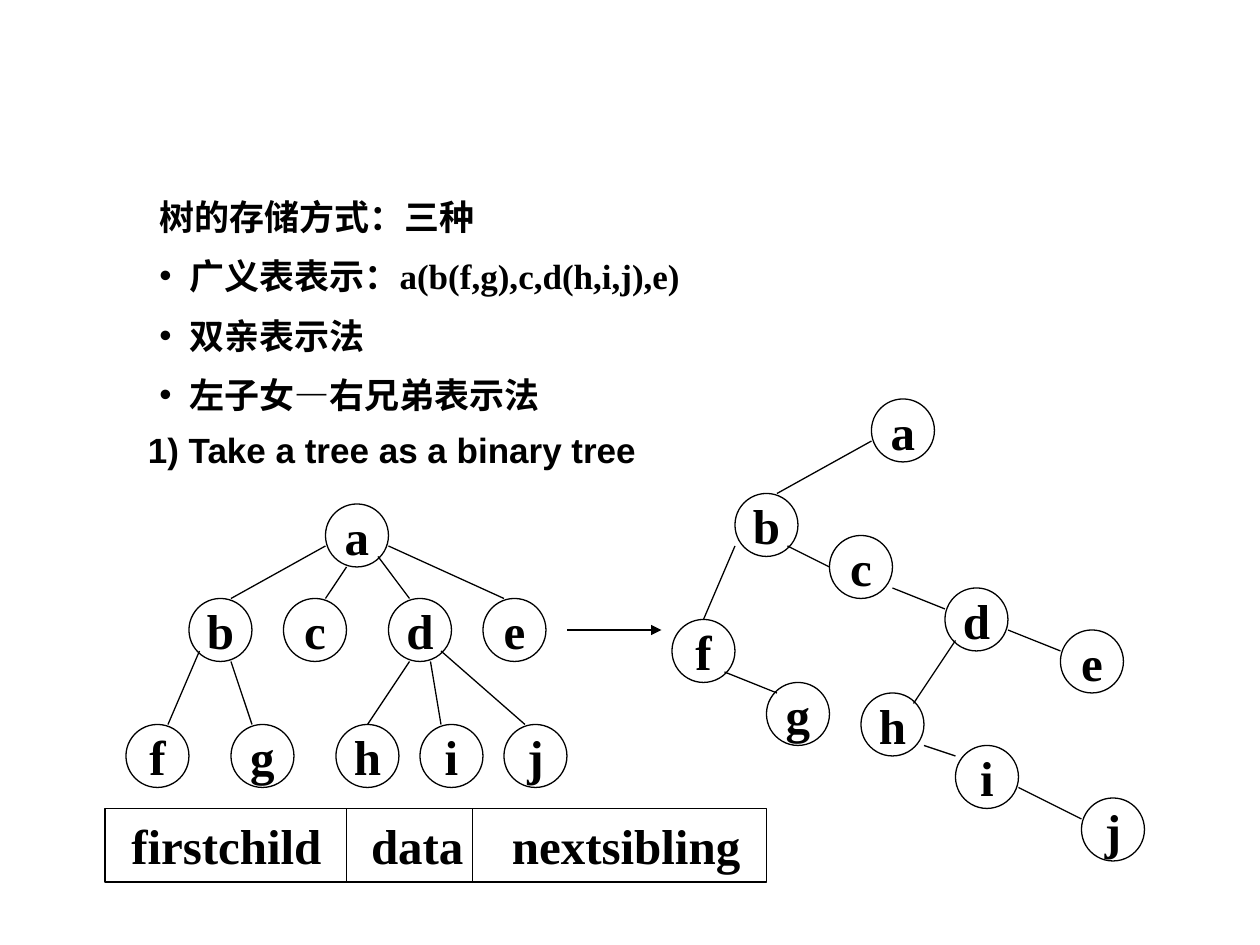
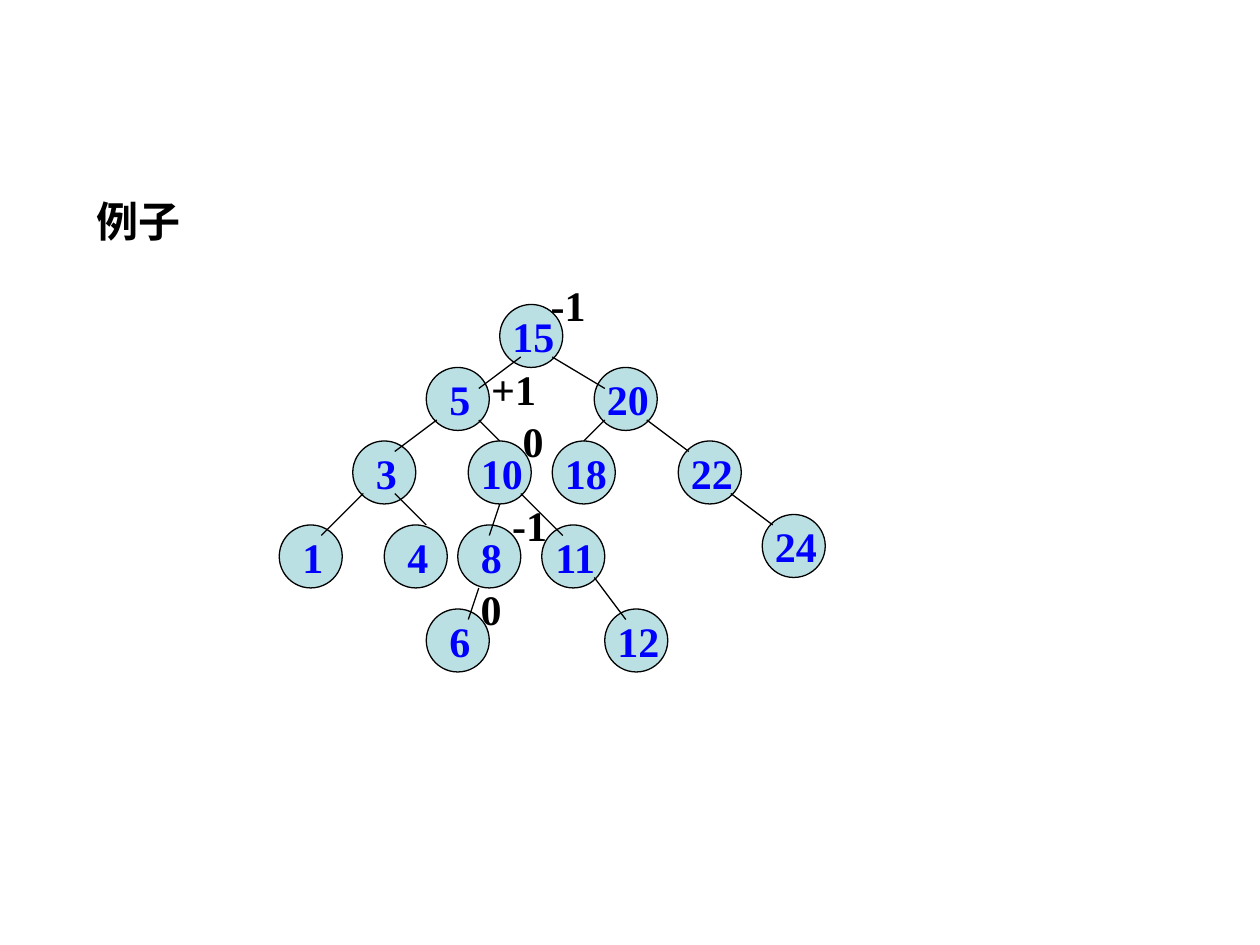
from dataclasses import dataclass

from pptx import Presentation
from pptx.dml.color import RGBColor
from pptx.enum.shapes import MSO_CONNECTOR as Connector
from pptx.enum.shapes import MSO_SHAPE as Preset
from pptx.enum.text import MSO_ANCHOR as Anchor
from pptx.enum.text import PP_ALIGN as Align
from pptx.oxml.ns import qn
from pptx.util import Pt
from lxml.etree import SubElement


@dataclass(frozen=True)
class Theme:
    ink: RGBColor = RGBColor(0, 0, 0)
    key: RGBColor = RGBColor(0, 0, 0xFF)
    node_fill: RGBColor = RGBColor(0xBB, 0xE0, 0xE3)
    serif: str = "Times New Roman"
    sans: str = "Arial"
    body_size: int = 20
    key_size: int = 24
    node_size: int = 28
    line_width: float = 0.75
    node_diameter: int = 36


THEME = Theme()
BLANK_LAYOUT = 6

# Nodes are (label, left, top); edges are (x1, y1, x2, y2), all in points.
GENERAL_TREE_NODES = [
    ("a", 186, 288),
    ("b", 108, 342), ("c", 162, 342), ("d", 222, 342), ("e", 276, 342),
    ("f", 72, 414), ("g", 132, 414), ("h", 192, 414), ("i", 240, 414), ("j", 288, 414),
]
GENERAL_TREE_EDGES = [
    (186, 312, 132, 342), (198, 324, 186, 342), (216, 318, 234, 342),
    (222, 312, 288, 342), (114, 372, 96, 414), (132, 378, 144, 414),
    (234, 378, 210, 414), (246, 378, 252, 414), (252, 372, 300, 414),
]
BINARY_TREE_NODES = [
    ("a", 498, 228), ("b", 420, 282), ("c", 474, 306), ("d", 540, 336), ("e", 606, 360),
    ("f", 384, 354), ("g", 438, 390), ("h", 492, 396), ("i", 546, 426), ("j", 618, 456),
]
BINARY_TREE_EDGES = [
    (498, 252, 444, 282), (420, 312, 402, 354), (546, 366, 522, 402),
    (510, 336, 540, 348), (582, 450, 618, 468), (576, 360, 606, 372),
    (450, 312, 474, 324), (414, 384, 444, 396), (528, 426, 546, 432),
]
SEARCH_TREE_LEFT = 3.6
SEARCH_TREE_NODES = [
    ("15", 282, 174), ("5", 240, 210), ("20", 336, 210),
    ("3", 198, 252), ("10", 264, 252), ("18", 312, 252), ("22", 384, 252),
    ("1", 156, 300), ("4", 216, 300), ("8", 258, 300), ("11", 306, 300), ("24", 432, 294),
    ("6", 240, 348), ("12", 342, 348),
]
SEARCH_TREE_EDGES = [
    (312, 204, 342, 222), (366, 240, 390, 258), (414, 282, 438, 300),
    (294, 204, 270, 222), (246, 240, 222, 258), (204, 282, 180, 306),
    (270, 240, 282, 252), (342, 240, 330, 252), (222, 282, 240, 300),
    (282, 288, 276, 306), (294, 282, 318, 306), (336, 330, 354, 354),
    (270, 336, 264, 354),
]
# Balance factors are (label, left, top, width).
BALANCE_FACTORS = [
    ("-1", 304, 156, 35), ("+1", 270, 204, 40), ("0", 288, 234, 27),
    ("-1", 282, 282, 35), ("0", 264, 330, 27),
]


def add_run(paragraph, text, size, font_name=THEME.serif, color=THEME.ink):
    run = paragraph.add_run()
    run.text = text
    font = run.font
    font.name, font.size, font.bold = font_name, Pt(size), True
    font.color.rgb = color


def add_text_box(slide, left, top, width, height, wrap=True):
    box = slide.shapes.add_textbox(Pt(left), Pt(top), Pt(width), Pt(height))
    box.text_frame.word_wrap = wrap
    return box.text_frame


def add_outlined(slide, preset, left, top, width, height, fill=None):
    shape = slide.shapes.add_shape(preset, Pt(left), Pt(top), Pt(width), Pt(height))
    shape.shadow.inherit = False
    if fill is None:
        shape.fill.background()
    else:
        shape.fill.solid()
        shape.fill.fore_color.rgb = fill
    shape.line.color.rgb = THEME.ink
    shape.line.width = Pt(THEME.line_width)
    shape.text_frame.vertical_anchor = Anchor.MIDDLE
    return shape


def add_line(slide, x1, y1, x2, y2, arrow=False):
    line = slide.shapes.add_connector(
        Connector.STRAIGHT, Pt(x1), Pt(y1), Pt(x2), Pt(y2))
    line.line.color.rgb = THEME.ink
    line.line.width = Pt(THEME.line_width)
    if arrow:
        SubElement(line.line._get_or_add_ln(), qn("a:tailEnd"), type="triangle")
    SubElement(line._element.spPr, qn("a:effectLst"))


def add_tree(slide, nodes, edges, size, color=THEME.ink, fill=None,
             preset=Preset.OVAL, left=0, text_shift=0):
    diameter = THEME.node_diameter
    for label, x, y in nodes:
        node = add_outlined(slide, preset, left + x, y, diameter, diameter, fill)
        frame = node.text_frame
        frame.word_wrap = False
        frame.margin_left = Pt(7.2 + text_shift)
        frame.margin_right = Pt(7.2 - text_shift)
        paragraph = frame.paragraphs[0]
        paragraph.alignment = Align.CENTER
        add_run(paragraph, label, size, color=color)
    for x1, y1, x2, y2 in edges:
        add_line(slide, left + x1, y1, left + x2, y2)


def make_bullet(paragraph, hanging=17):
    properties = paragraph._p.get_or_add_pPr()
    properties.set("marL", str(Pt(hanging)))
    properties.set("indent", str(-Pt(hanging)))
    SubElement(properties, qn("a:buFont"), typeface=THEME.sans)
    SubElement(properties, qn("a:buChar"), char="•")


def add_storage_methods(slide):
    frame = add_text_box(slide, 84, 108, 504, 140.4)
    add_run(frame.paragraphs[0], "树的存储方式：三种", THEME.body_size)
    for method in ("广义表表示：a(b(f,g),c,d(h,i,j),e)", "双亲表示法", "左子女—右兄弟表示法"):
        paragraph = frame.add_paragraph()
        paragraph.space_before = Pt(THEME.body_size / 2)
        make_bullet(paragraph)
        add_run(paragraph, method, THEME.body_size)


def add_record_layout(slide):
    """Draw the three fields of a tree node side by side."""
    top, height = 462, 42
    record = add_outlined(slide, Preset.RECTANGLE, 60, top, 378, height)
    frame = record.text_frame
    frame.word_wrap = True
    frame.margin_left, frame.margin_right = Pt(15), 0
    paragraph = frame.paragraphs[0]
    paragraph.alignment = Align.LEFT
    tabs = SubElement(paragraph._p.get_or_add_pPr(), qn("a:tabLst"))
    for position in (137, 217.5):
        SubElement(tabs, qn("a:tab"), pos=str(Pt(position)), algn="l")
    add_run(paragraph, "firstchild\tdata\tnextsibling", THEME.node_size)
    for x in (198, 270):
        add_line(slide, x, top, x, top + height)


def build_storage_slide(slide):
    heading = add_text_box(slide, 54, 234, 612, 240)
    heading.margin_left, heading.margin_top = Pt(30.5), Pt(10.8)
    add_run(heading.paragraphs[0], "1) Take a tree as a binary tree",
            THEME.body_size, THEME.sans)
    add_tree(slide, GENERAL_TREE_NODES, GENERAL_TREE_EDGES, THEME.node_size)
    add_record_layout(slide)
    add_tree(slide, BINARY_TREE_NODES, BINARY_TREE_EDGES, THEME.node_size)
    add_line(slide, 324, 360, 378, 360, arrow=True)
    add_storage_methods(slide)


def build_example_slide(slide):
    heading = add_text_box(slide, 48, 108, 612, 372)
    add_run(heading.paragraphs[0], "例子", THEME.key_size, THEME.sans)
    add_tree(slide, SEARCH_TREE_NODES, SEARCH_TREE_EDGES, THEME.key_size, THEME.key,
             THEME.node_fill, Preset.FLOWCHART_CONNECTOR, SEARCH_TREE_LEFT, text_shift=1.2)
    for label, x, y, width in BALANCE_FACTORS:
        frame = add_text_box(slide, SEARCH_TREE_LEFT + x, y, width, 36, wrap=False)
        add_run(frame.paragraphs[0], label, THEME.key_size)


def main():
    presentation = Presentation()
    presentation.slide_width, presentation.slide_height = Pt(720), Pt(540)
    for build in (build_storage_slide, build_example_slide):
        build(presentation.slides.add_slide(presentation.slide_layouts[BLANK_LAYOUT]))
    presentation.save("out.pptx")


if __name__ == "__main__":
    main()
